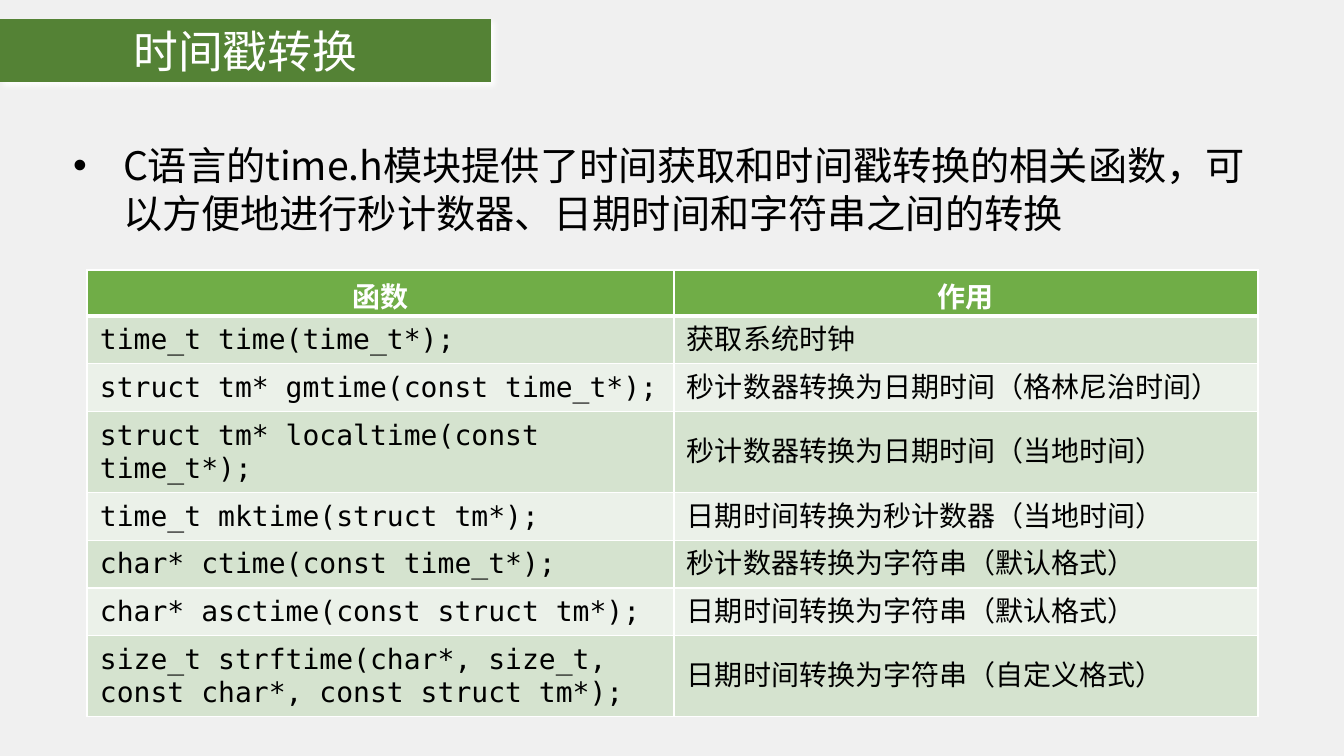
from dataclasses import dataclass

from lxml.etree import SubElement
from pptx import Presentation
from pptx.dml.color import RGBColor
from pptx.enum.lang import MSO_LANGUAGE_ID
from pptx.enum.text import MSO_ANCHOR, MSO_AUTO_SIZE, PP_ALIGN
from pptx.oxml.ns import qn
from pptx.util import Pt

EMU_PER_PX = 914400 / 100.8


@dataclass(frozen=True)
class Theme:
    page: str = "F0F0F0"
    banner: str = "548235"
    header: str = "70AD47"
    bands: tuple = ("D5E3CF", "EBF1E9")
    light: str = "FFFFFF"
    dark: str = "000000"
    sans: str = "Noto Sans CJK SC"
    mono: str = "DejaVu Sans Mono"
    title_size: int = 32
    body_size: int = 28
    table_size: int = 20


THEME = Theme()

TITLE = "时间戳转换"
INTRO = "C语言的time.h模块提供了时间获取和时间戳转换的相关函数，可以方便地进行秒计数器、日期时间和字符串之间的转换"
FUNCTIONS = [
    ("函数", "作用"),
    ("time_t time(time_t*);", "获取系统时钟"),
    ("struct tm* gmtime(const time_t*);", "秒计数器转换为日期时间（格林尼治时间）"),
    ("struct tm* localtime(const time_t*);", "秒计数器转换为日期时间（当地时间）"),
    ("time_t mktime(struct tm*);", "日期时间转换为秒计数器（当地时间）"),
    ("char* ctime(const time_t*);", "秒计数器转换为字符串（默认格式）"),
    ("char* asctime(const struct tm*);", "日期时间转换为字符串（默认格式）"),
    ("size_t strftime(char*, size_t, const char*, const struct tm*);",
     "日期时间转换为字符串（自定义格式）"),
]


def px(length):
    return round(length * EMU_PER_PX)


def place(shape, box):
    shape.left, shape.top, shape.width, shape.height = map(px, box)


def set_margins(target, left, top, right, bottom):
    target.margin_left, target.margin_top = px(left), px(top)
    target.margin_right, target.margin_bottom = px(right), px(bottom)


def add_span(para, text, font, size, color, bold=False):
    span = para.add_run()
    span.text = text
    span.font.name = font
    span.font.size = Pt(size)
    span.font.bold = bold
    span.font.color.rgb = RGBColor.from_string(color)
    span.font.language_id = MSO_LANGUAGE_ID.SIMPLIFIED_CHINESE
    # East Asian characters follow the same font
    SubElement(span.font._element, qn("a:ea"), typeface=font)


def add_color(parent, color):
    fill = SubElement(parent, qn("a:solidFill"))
    return SubElement(fill, qn("a:srgbClr"), val=color)


def add_shadow(shape):
    effects = SubElement(shape._element.spPr, qn("a:effectLst"))
    shadow = SubElement(effects, qn("a:outerShdw"), blurRad=str(Pt(4)),
                        dist=str(Pt(3)), dir="2700000", algn="tl", rotWithShape="0")
    SubElement(add_color(shadow, THEME.dark), qn("a:alpha"), val="40000")


def add_bullet(para, indent):
    props = para._p.get_or_add_pPr()
    props.set("marL", str(px(indent)))
    props.set("indent", str(-px(indent)))
    SubElement(props, qn("a:buFont"), typeface="Arial")
    SubElement(props, qn("a:buChar"), char="•")


def add_borders(cell, bottom_width):
    props = cell._tc.get_or_add_tcPr()
    for side, width in (("L", 1), ("R", 1), ("T", 1), ("B", bottom_width)):
        line = SubElement(props, qn(f"a:ln{side}"), w=str(Pt(width)))
        add_color(line, THEME.light)


# Green title banner
def build_banner(page, box):
    title = page.shapes.title
    place(title, box)
    title.fill.solid()
    title.fill.fore_color.rgb = RGBColor.from_string(THEME.banner)
    add_shadow(title)
    frame = title.text_frame
    frame.auto_size = MSO_AUTO_SIZE.NONE
    frame.vertical_anchor = MSO_ANCHOR.MIDDLE
    set_margins(frame, 10, 0, 10, 0)
    para = frame.paragraphs[0]
    para.alignment = PP_ALIGN.CENTER
    add_span(para, TITLE, THEME.sans, THEME.title_size, THEME.light)


# Bulleted introduction
def build_intro(page, box):
    body = page.placeholders[1]
    place(body, box)
    frame = body.text_frame
    frame.word_wrap = True
    frame.auto_size = MSO_AUTO_SIZE.SHAPE_TO_FIT_TEXT
    set_margins(frame, 10, 5, 30, 5)
    para = frame.paragraphs[0]
    add_bullet(para, 50)
    para.space_before = Pt(0)
    para.line_spacing = Pt(34)
    add_span(para, INTRO, THEME.sans, THEME.body_size, THEME.dark)


def fill_cell(cell, text, is_header, band, font):
    add_borders(cell, 3 if is_header else 1)
    cell.fill.solid()
    cell.fill.fore_color.rgb = RGBColor.from_string(THEME.header if is_header else band)
    cell.vertical_anchor = MSO_ANCHOR.MIDDLE
    para = cell.text_frame.paragraphs[0]
    if is_header:
        set_margins(cell, 13, 13, 13, 1)
        para.alignment = PP_ALIGN.CENTER
        para.line_spacing = Pt(23)
    else:
        set_margins(cell, 13, 7, 13, 7)
    add_span(para, text, font, THEME.table_size,
             THEME.light if is_header else THEME.dark, is_header)


# Function reference table
def build_table(page, box, column_widths):
    left, top, width, height = map(px, box)
    table = page.shapes.add_table(
        len(FUNCTIONS), len(column_widths), left, top, width, height).table
    table.horz_banding = False
    for column, column_width in zip(table.columns, column_widths):
        column.width = px(column_width)
    for row_index, texts in enumerate(FUNCTIONS):
        is_header = row_index == 0
        band = THEME.bands[(row_index - 1) % 2]
        font = THEME.sans if is_header else THEME.mono
        for column_index, text in enumerate(texts):
            fill_cell(table.cell(row_index, column_index), text, is_header, band, font)


def main():
    deck = Presentation()
    deck.slide_width, deck.slide_height = px(1344), px(756)
    page = deck.slides.add_slide(deck.slide_layouts[1])
    page.background.fill.solid()
    page.background.fill.fore_color.rgb = RGBColor.from_string(THEME.page)
    build_banner(page, (0, 19, 491, 63))
    build_intro(page, (63, 136, 1218, 105))
    build_table(page, (87, 270, 1171, 8 * 46), (587, 584))
    deck.save("out.pptx")


if __name__ == "__main__":
    main()
